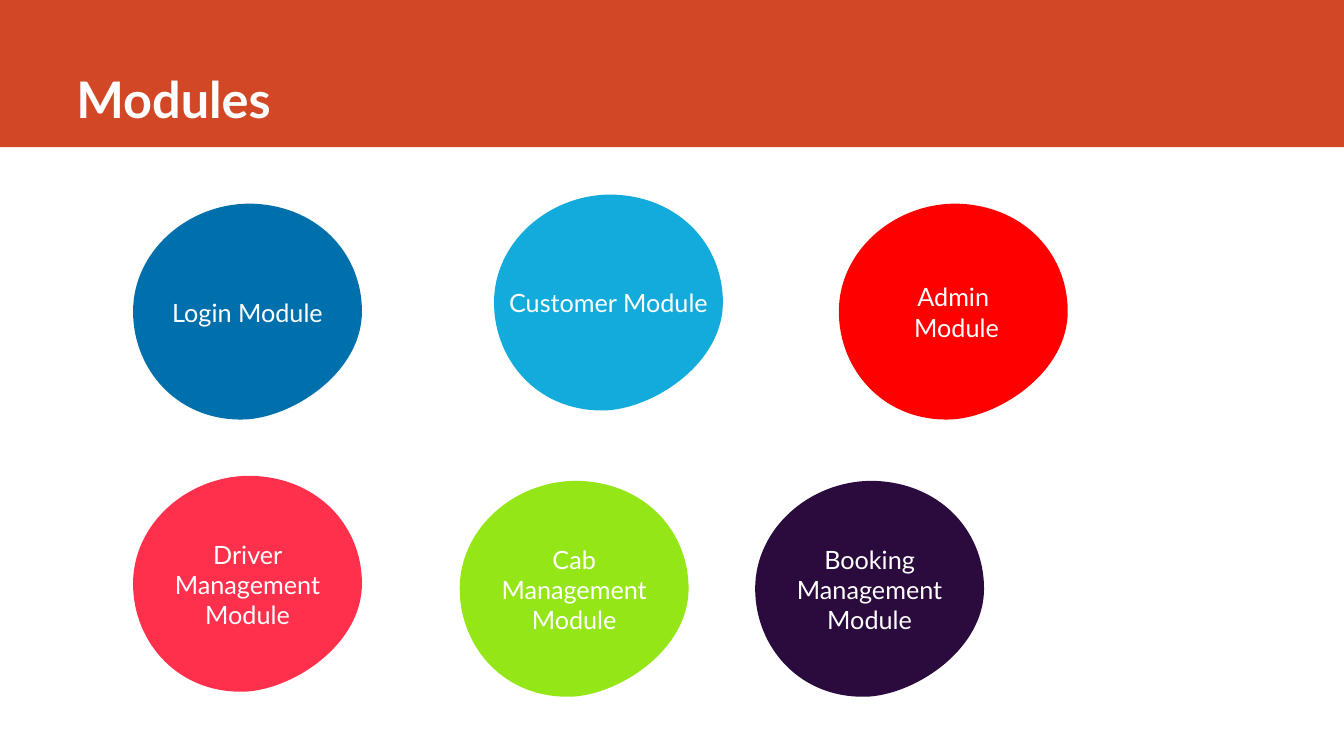
from dataclasses import dataclass

from lxml import etree
from pptx import Presentation
from pptx.dml.color import RGBColor
from pptx.enum.shapes import MSO_SHAPE
from pptx.enum.text import MSO_ANCHOR, PP_ALIGN
from pptx.oxml.ns import qn
from pptx.util import Inches, Pt

RECT = MSO_SHAPE.RECTANGLE
MIDDLE, BOTTOM = MSO_ANCHOR.MIDDLE, MSO_ANCHOR.BOTTOM
LEFT, CENTER = PP_ALIGN.LEFT, PP_ALIGN.CENTER


@dataclass(frozen=True)
class Theme:
    font: str = "Lato"
    text: str = "FFFFFF"
    band: str = "D24726"
    title: int = 36
    label: int = 18


THEME = Theme()

# Blob outline in inches from its top left corner: start, then cubic curves
WIDE, HIGH = 2.27, 2.15
START = (0, 1.07)
CURVES = [
    ((0, 0.48), (0.53, 0.01), (1.14, 0)),
    ((1.81, 0), (WIDE, 0.48), (WIDE, 1.07)),
    ((WIDE, 1.66), (1.62, 2.1), (1.14, 2.14)),
    ((0.46, 2.18), (0, 1.66), START),
]

# Left, top, fill and label of each module
MODULES = [
    (1.32, 2.02, "0070AD", "Login Module"),
    (4.9, 1.93, "12ABDB", "Customer Module"),
    (8.32, 2.02, "FF0000", "Admin\n Module"),
    (1.32, 4.72, "FF304C", "Driver Management Module"),
    (4.56, 4.77, "95E616", "Cab\nManagement Module"),
    (7.49, 4.77, "2B0A3D", "Booking\nManagement Module"),
]


def paint(shape, color):
    shape.shadow.inherit = False
    shape.fill.solid()
    shape.fill.fore_color.rgb = RGBColor.from_string(color)
    shape.line.fill.background()


def write(shape, text, size, anchor, align, bold=False):
    frame = shape.text_frame
    frame.word_wrap = True
    frame.vertical_anchor = anchor
    frame.text = text
    for para in frame.paragraphs:
        para.alignment = align
        for run in para.runs:
            font = run.font
            font.name, font.size, font.bold = THEME.font, Pt(size), bold
            font.color.rgb = RGBColor.from_string(THEME.text)


def add_step(trace, tag, points=()):
    step = etree.SubElement(trace, qn(tag))
    for x, y in points:
        spot = etree.SubElement(step, qn("a:pt"))
        spot.set("x", str(Inches(x)))
        spot.set("y", str(Inches(y)))


def bend(shape):
    """Swap the straight frame of a freeform for the blob's curves."""
    trace = next(shape.element.iter(qn("a:path")))
    for step in list(trace):
        trace.remove(step)
    add_step(trace, "a:moveTo", [START])
    for points in CURVES:
        add_step(trace, "a:cubicBezTo", points)
    add_step(trace, "a:close")


def add_blob(slide, left, top, color, label):
    x, y = Inches(left), Inches(top)
    right, base = x + Inches(WIDE), y + Inches(HIGH)
    form = slide.shapes.build_freeform(x, y)
    form.add_line_segments([(right, y), (right, base), (x, base)])
    blob = form.convert_to_shape()
    bend(blob)
    paint(blob, color)
    write(blob, label, THEME.label, MIDDLE, CENTER)


def add_head(slide, width, text):
    band = slide.shapes.add_shape(RECT, 0, 0, width, Inches(1.46))
    paint(band, THEME.band)
    box = slide.shapes.add_textbox(
        Inches(0.66), 0, Inches(11.76), Inches(1.32))
    write(box, text, THEME.title, BOTTOM, LEFT, bold=True)


def main():
    deck = Presentation()
    deck.slide_width, deck.slide_height = Inches(13.33), Inches(7.5)
    slide = deck.slides.add_slide(deck.slide_layouts[6])

    # Title band
    add_head(slide, deck.slide_width, "Modules")

    # Module blobs
    for module in MODULES:
        add_blob(slide, *module)

    deck.save("out.pptx")


if __name__ == "__main__":
    main()
